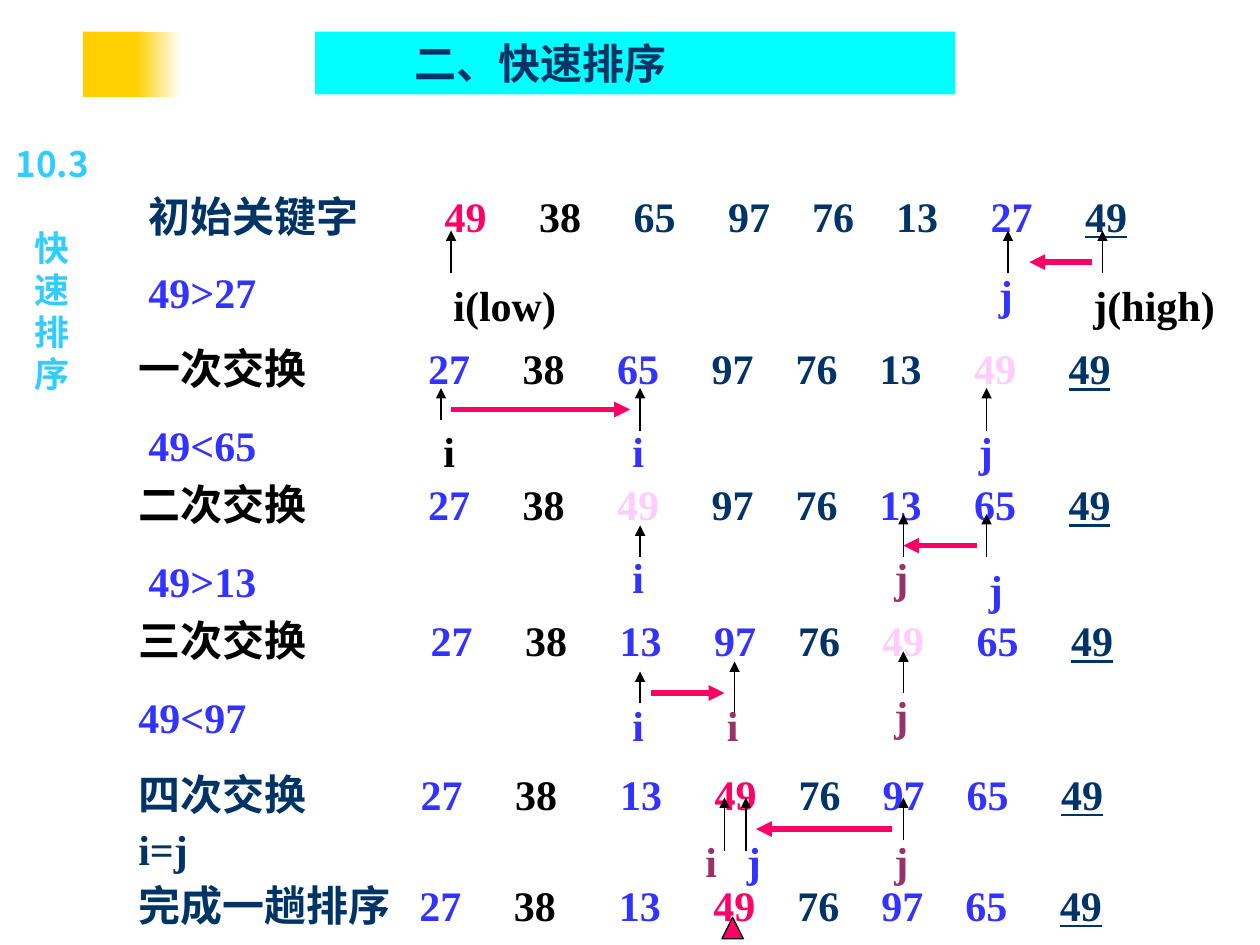
from lxml import etree
from pptx import Presentation
from pptx import util as u
from pptx.dml.color import RGBColor
from pptx.enum import shapes, text
from pptx.oxml import ns

Inches, Pt = u.Inches, u.Pt
COLORS = {
    "gold": "FFCF01", "white": "FFFFFF", "cyan": "00FFFF", "sky": "33CCFF",
    "navy": "003366", "black": "000000", "blue": "3333FF", "pink": "FF0066",
    "pale": "FFCCFF", "plum": "993366",
}
SERIF, SANS = "Times New Roman", "Noto Sans CJK SC"
DIGITS, SPACE = 1 / 3, 1 / 12  # widths of a two-digit key and of a space
EVEN_GAPS = (5, 5, 5, 4, 4, 5, 5)
LATE_GAPS = (5, 6, 5, 4, 4, 4, 5)


def rgb(name):
    return RGBColor.from_string(COLORS[name])


def add_run(paragraph, words, color="black", size=24, font=SERIF, underline=False):
    run = paragraph.add_run()
    run.text = words
    run.font.size, run.font.bold = Pt(size), True
    run.font.underline = underline
    run.font.color.rgb = rgb(color)
    run.font.name = font
    east_asian = etree.SubElement(run.font._element, ns.qn("a:ea"))
    east_asian.set("typeface", SANS)


def add_text_frame(slide, left, top, width, height):
    box = slide.shapes.add_textbox(Inches(left), Inches(top), Inches(width), Inches(height))
    box.text_frame.word_wrap = True
    return box.text_frame


def add_shape(slide, kind, left, top, width, height):
    shape = slide.shapes.add_shape(kind, Inches(left), Inches(top), Inches(width), Inches(height))
    shape.shadow.inherit = False
    shape.line.fill.background()
    return shape


def add_arrow(slide, x1, y1, x2, y2, color="black", weight=0.75):
    arrow = slide.shapes.add_connector(
        shapes.MSO_CONNECTOR.STRAIGHT, Inches(x1), Inches(y1), Inches(x2), Inches(y2))
    arrow.line.color.rgb = rgb(color)
    arrow.line.width = Pt(weight)
    etree.SubElement(arrow.line._get_or_add_ln(), ns.qn("a:tailEnd")).set("type", "triangle")
    etree.SubElement(arrow._element.spPr, ns.qn("a:effectLst"))


def add_key_row(paragraph, label, label_color, start, gaps, keys, colors):
    """A label and eight keys on tab stops; the last key is underlined."""
    stops = etree.SubElement(paragraph._p.get_or_add_pPr(), ns.qn("a:tabLst"))
    position = start
    for gap in (*gaps, 0):
        stop = etree.SubElement(stops, ns.qn("a:tab"))
        stop.set("pos", str(Inches(position)))
        stop.set("algn", "l")
        position += DIGITS + gap * SPACE
    add_run(paragraph, label, label_color)
    keys = keys.split()
    for index, (key, color) in enumerate(zip(keys, colors.split())):
        add_run(paragraph, "\t", color)
        add_run(paragraph, key, color, underline=index == len(keys) - 1)


def add_note(paragraph, words, color="blue", indent=0):
    paragraph._p.get_or_add_pPr().set("marL", str(Inches(indent)))
    add_run(paragraph, words, color)


def add_step(slide, box, lines, pointers, sweeps):
    """Lines of keys and notes, with index pointers and sweeps placed from the box corner."""
    left, top, _, _ = box
    frame = add_text_frame(slide, *box)
    for index, (space, write, values) in enumerate(lines):
        paragraph = frame.add_paragraph() if index else frame.paragraphs[0]
        write(paragraph, *values)
        if index:
            paragraph.space_before = Pt(space)
    for name, color, x, tip, tail, name_x, name_y in pointers:
        add_arrow(slide, left + x, top + tail, left + x, top + tip)
        width = 0.42 if len(name) == 1 else 1.42
        label = add_text_frame(slide, left + name_x, top + name_y, width, 0.5)
        add_run(label.paragraphs[0], name, color)
    for x1, x2, y in sweeps:
        add_arrow(slide, left + x1, top + y, left + x2, top + y, "pink", 3)


def add_corner_band(slide, left, top, width, height):
    fade_at = 0.42
    block = add_shape(slide, shapes.MSO_SHAPE.RECTANGLE, left, top, 0.48, height)
    block.fill.solid()
    block.fill.fore_color.rgb = rgb("gold")
    fade = add_shape(slide, shapes.MSO_SHAPE.RECTANGLE,
                     left + fade_at, top, width - fade_at, height)
    fade.fill.gradient()
    fade.fill.gradient_angle = 0
    for stop, color in zip(fade.fill.gradient_stops, ("gold", "white")):
        stop.color.rgb = rgb(color)


def add_title(slide, left, top, width, height):
    title = slide.shapes.title
    title.left, title.top = Inches(left), Inches(top)
    title.width, title.height = Inches(width), Inches(height)
    title.fill.solid()
    title.fill.fore_color.rgb = rgb("cyan")
    frame = title.text_frame
    frame.auto_size = text.MSO_AUTO_SIZE.NONE
    frame.vertical_anchor = text.MSO_ANCHOR.MIDDLE
    frame.margin_left = Inches(0.79)
    frame.paragraphs[0].alignment = text.PP_ALIGN.LEFT
    add_run(frame.paragraphs[0], "二、快速排序", "navy", font=SANS)


def add_section_label(slide, left, top, width, height):
    frame = add_text_frame(slide, left, top, width, height)
    for index, words in enumerate(("10.3", *"快速排序")):
        paragraph = frame.add_paragraph() if index else frame.paragraphs[0]
        paragraph.alignment = text.PP_ALIGN.CENTER
        if index == 1:
            paragraph.space_before = Pt(24)
        add_run(paragraph, words, "sky", 20, SANS)


def add_pivot_mark(slide, left, top, width, height):
    mark = add_shape(slide, shapes.MSO_SHAPE.ISOSCELES_TRIANGLE, left, top, width, height)
    mark.fill.solid()
    mark.fill.fore_color.rgb = rgb("pink")
    mark.line.color.rgb = rgb("black")
    mark.line.width = Pt(0.75)


SORTED_KEYS = ("27 38 13 49 76 97 65 49", "blue black blue pink navy blue blue navy")

STEPS = [
    # Initial keys
    ((1.08, 1.46, 8.92, 1.11),
     [(0, add_key_row, ("初始关键字", "navy", 2.35, EVEN_GAPS, "49 38 65 97 76 13 27 49",
                        "pink black navy navy navy navy blue navy")),
      (15, add_note, ("49>27",))],
     [("i(low)", "black", 2.5, 0.37, 0.71, 2.42, 0.71),
      ("j(high)", "black", 7.67, 0.37, 0.71, 7.5, 0.71),
      ("j", "blue", 6.92, 0.37, 0.71, 6.75, 0.62)],
     [(7.59, 7.09, 0.62)]),
    # First exchange
    ((1, 2.67, 9, 1.11),
     [(0, add_key_row, ("一次交换", "black", 2.3, EVEN_GAPS, "27 38 65 97 76 13 49 49",
                        "blue black blue navy navy navy pale navy")),
      (15, add_note, ("49<65", "blue", 0.08))],
     [("i", "black", 2.5, 0.41, 0.66, 2.42, 0.66),
      ("i", "blue", 4.08, 0.41, 0.75, 3.92, 0.66),
      ("j", "blue", 6.83, 0.41, 0.75, 6.67, 0.66)],
     [(2.58, 4, 0.58)]),
    # Second exchange
    ((1, 3.75, 9, 1.11),
     [(0, add_key_row, ("二次交换", "black", 2.3, EVEN_GAPS, "27 38 49 97 76 13 65 49",
                        "blue black pale navy navy blue blue navy")),
      (15, add_note, ("49>13", "blue", 0.08))],
     [("i", "blue", 4.08, 0.42, 0.67, 3.92, 0.58),
      ("j", "blue", 6.83, 0.33, 0.67, 6.75, 0.67),
      ("j", "plum", 6.17, 0.33, 0.67, 6, 0.58)],
     [(6.75, 6.17, 0.58)]),
    # Third and fourth exchanges and the finished pass
    ((1, 4.83, 8.5, 2.6),
     [(0, add_key_row, ("三次交换", "black", 2.32, EVEN_GAPS, "27 38 13 97 76 49 65 49",
                        "blue black blue blue navy pale blue navy")),
      (15, add_note, ("49<97",)),
      (15, add_key_row, ("四次交换", "navy", 2.24, LATE_GAPS, *SORTED_KEYS)),
      (3, add_note, ("i=j", "navy")),
      (3, add_key_row, ("完成一趟排序", "navy", 2.23, LATE_GAPS, *SORTED_KEYS))],
     [("i", "blue", 4.08, 0.5, 0.75, 3.92, 0.67),
      ("i", "plum", 4.83, 0.42, 0.84, 4.67, 0.67),
      ("j", "plum", 6.17, 0.34, 0.67, 6, 0.59),
      ("i", "plum", 4.75, 1.5, 1.92, 4.5, 1.75),
      ("j", "plum", 6.17, 1.5, 1.84, 6, 1.75),
      ("j", "blue", 4.92, 1.5, 1.92, 4.83, 1.75)],
     [(4.17, 4.75, 0.67), (6.08, 5, 1.75)]),
]


def main():
    deck = Presentation()
    deck.slide_width, deck.slide_height = Inches(10), Inches(7.5)
    slide = deck.slides.add_slide(deck.slide_layouts[5])
    add_corner_band(slide, 0.66, 0.25, 0.78, 0.52)
    add_title(slide, 2.5, 0.25, 5.08, 0.5)
    for step in STEPS:
        add_step(slide, *step)
    add_pivot_mark(slide, 5.73, 7.28, 0.17, 0.17)
    add_section_label(slide, 0, 1.08, 0.83, 2.44)
    deck.save("out.pptx")


if __name__ == "__main__":
    main()
